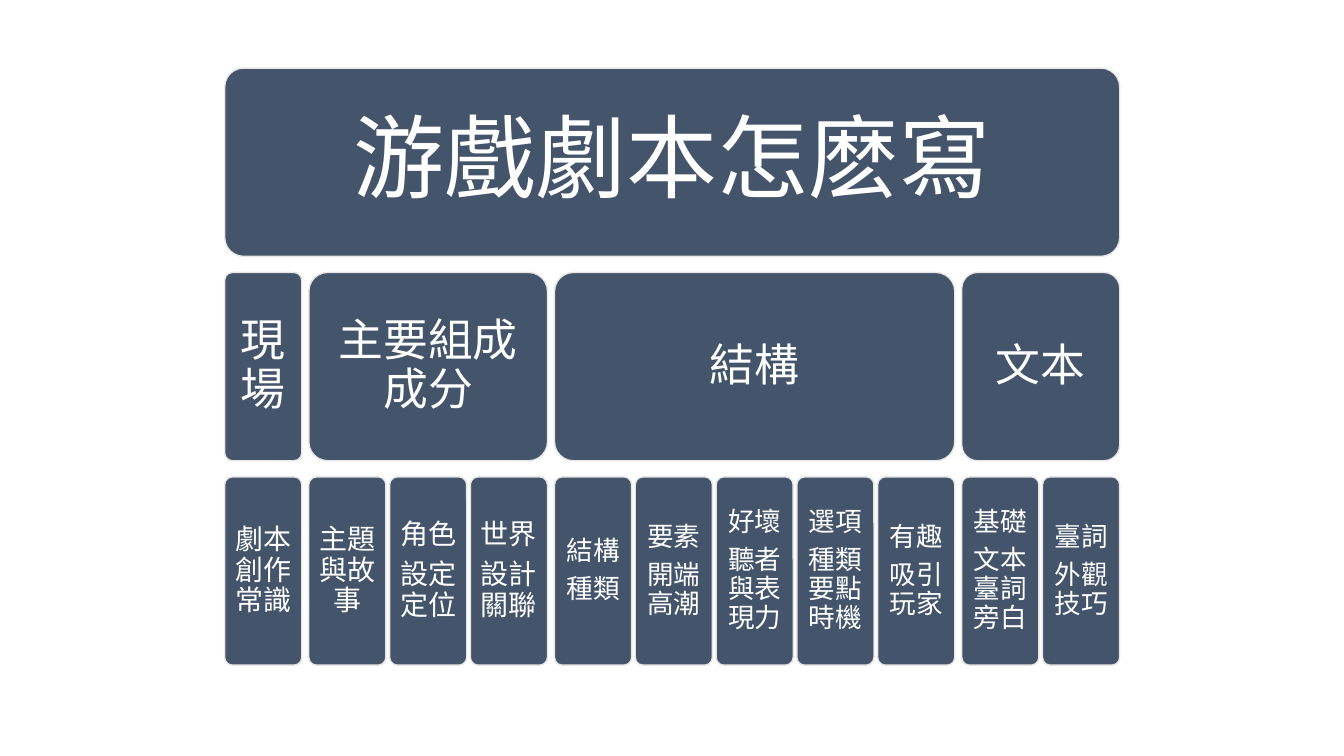
from lxml.etree import SubElement
from pptx import Presentation
from pptx.dml.color import RGBColor
from pptx.enum.shapes import MSO_SHAPE as Shape
from pptx.enum.text import MSO_ANCHOR as Anchor, MSO_AUTO_SIZE as AutoSize, PP_ALIGN as Align
from pptx.oxml.ns import qn
from pptx.util import Pt

TITLE = "游戲劇本怎麽寫"
GROUPS = [
    ("現場", 20, ["劇本創作常識"]),
    ("主要組成成分", 20, ["主題與故事", "角色\n設定定位", "世界\n設計關聯"]),
    ("結構", 19, ["結構\n種類", "要素\n開端高潮", "好壞\n聽者與表現力",
                "選項\n種類要點時機", "有趣\n吸引玩家"]),
    ("文本", 19, ["基礎\n文本臺詞旁白", "臺詞\n外觀技巧"]),
]

SLATE = RGBColor(0x44, 0x54, 0x6A)
PALE = RGBColor(0xE7, 0xE6, 0xE6)
WHITE = RGBColor(0xFF, 0xFF, 0xFF)
FONT = "Noto Sans CJK SC"

LEFT, TOP = 160.5, 48.6
ROW_HEIGHT, ROW_STEP = 134.5, 146
LEAF_WIDTH, LEAF_GAP, GROUP_GAP = 55.1, 2.6, 5
TITLE_SIZE, HEADING_SIZE = 65, 32
TITLE_INSET, HEADING_INSET, LEAF_INSET = 19.5, 9.6, 5
TITLE_MARGIN = 3.9


def span_width(count):
    return count * LEAF_WIDTH + (count - 1) * LEAF_GAP


def add_box(page, left, row, width):
    box = page.shapes.add_shape(Shape.ROUNDED_RECTANGLE, Pt(left), Pt(TOP + row * ROW_STEP),
                                Pt(width), Pt(ROW_HEIGHT))
    box.adjustments[0] = 0.1
    box.shadow.inherit = False
    box.fill.solid()
    box.fill.fore_color.rgb = SLATE
    box.line.color.rgb = PALE
    box.line.width = Pt(1)
    return box


def write(shape, text, size, inset):
    frame = shape.text_frame
    frame.text = text
    frame.word_wrap = True
    frame.auto_size = AutoSize.NONE
    frame.vertical_anchor = Anchor.MIDDLE
    frame.margin_left = frame.margin_right = Pt(inset)
    frame.margin_top = frame.margin_bottom = Pt(inset)
    for para in frame.paragraphs:
        para.alignment = Align.CENTER
        para.line_spacing = 0.9
        para.space_before = Pt(0)
        para.space_after = Pt(0.35 * size)
        for span in para.runs:
            span.font.size = Pt(size)
            span.font.color.rgb = WHITE
            span.font.name = FONT
            SubElement(span.font._element, qn("a:ea"), typeface=FONT)


def main():
    deck = Presentation()
    deck.slide_width, deck.slide_height = Pt(960), Pt(540)
    page = deck.slides.add_slide(deck.slide_layouts[5])

    total = (sum(span_width(len(leaves)) for _, _, leaves in GROUPS)
             + (len(GROUPS) - 1) * GROUP_GAP)
    banner = add_box(page, LEFT, 0, total)
    title = page.shapes.title
    title.left, title.top = Pt(LEFT + TITLE_MARGIN), Pt(TOP + TITLE_MARGIN)
    title.width = Pt(total - 2 * TITLE_MARGIN)
    title.height = Pt(ROW_HEIGHT - 2 * TITLE_MARGIN)
    write(title, TITLE, TITLE_SIZE, TITLE_INSET)
    banner.element.addnext(title.element)

    left = LEFT
    for heading, leaf_size, leaves in GROUPS:
        width = span_width(len(leaves))
        write(add_box(page, left, 1, width), heading, HEADING_SIZE, HEADING_INSET)
        for index, leaf in enumerate(leaves):
            leaf_left = left + index * (LEAF_WIDTH + LEAF_GAP)
            write(add_box(page, leaf_left, 2, LEAF_WIDTH), leaf, leaf_size, LEAF_INSET)
        left += width + GROUP_GAP

    deck.save("out.pptx")


if __name__ == "__main__":
    main()
